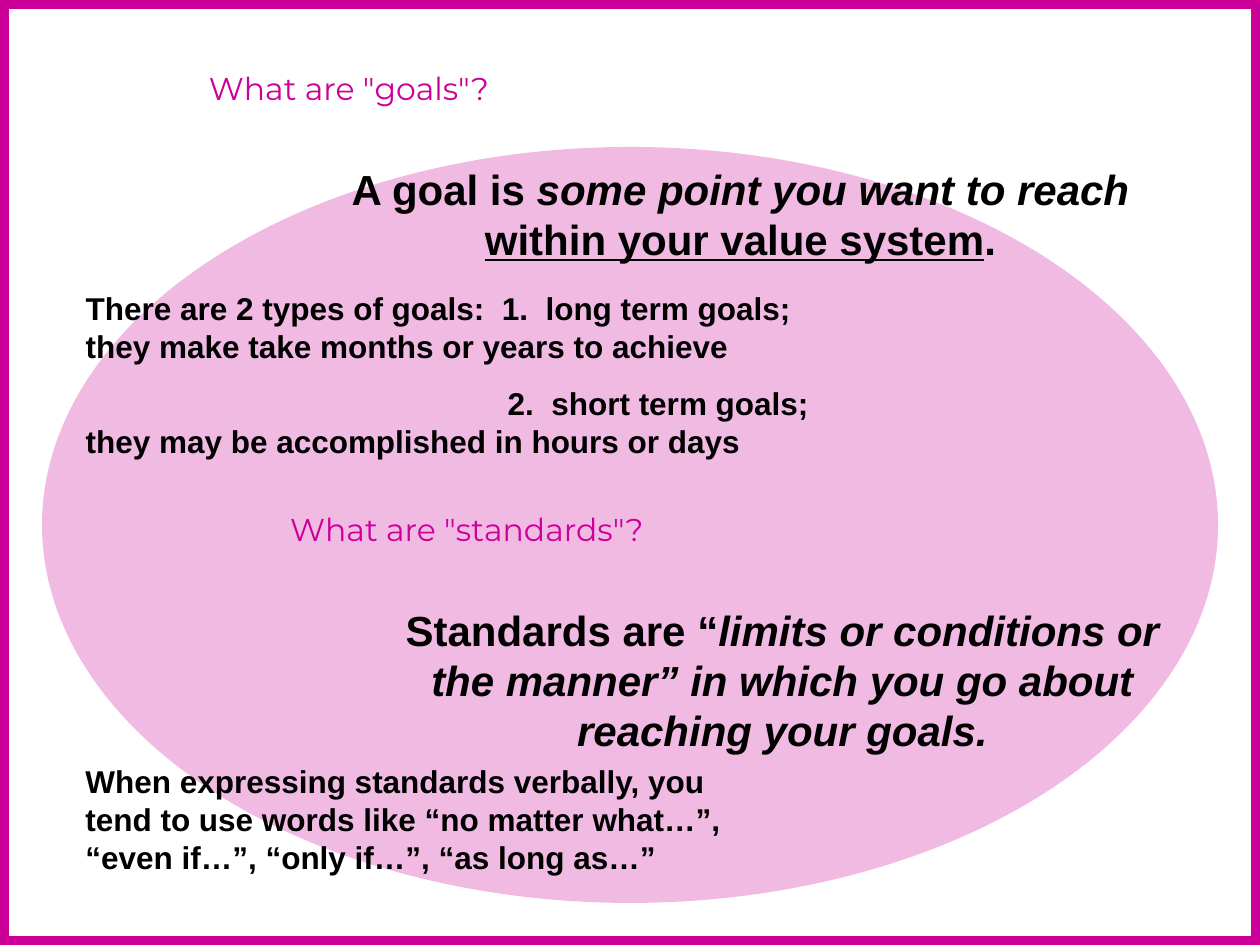
"""Build the slide that defines goals and standards."""
from lxml import etree
from pptx import Presentation, util as u
from pptx.dml.color import RGBColor
from pptx.enum import shapes, text
from pptx.oxml.ns import qn

PX = u.Inches(1) / 126
WIDTH, HEIGHT = 1260, 945
MAGENTA, BLACK = "CC0099", "000000"
LEFT, CENTER = text.PP_ALIGN.LEFT, text.PP_ALIGN.CENTER

HEADING = dict(name="Montserrat", size=u.Pt(18), bold=False, color=MAGENTA, alignment=CENTER)
DEFINITION = dict(name="Arial", size=u.Pt(24), bold=True, color=BLACK, alignment=CENTER)
BODY = dict(name="Arial", size=u.Pt(18), bold=True, color=BLACK, alignment=LEFT)
ITALIC, UNDERLINE = dict(italic=True), dict(underline=True)

ELLIPSE = (42, 147, 1176, 756)
SECOND_TYPE_INDENT = 422
GOALS_HEADING = ((42, 63, 614, 89), HEADING, [[('What are "goals"?', {})]])
GOAL_TYPES = ((73, 283, 766, 184), BODY, [
    [("There are 2 types of goals:  1.  long term goals;  "
      "they make take months or years to achieve", {})],
    [("2.  short term goals;  they may be accomplished in hours or days", {})],
])
TEXT_BOXES = [
    ((315, 157, 851, 113), DEFINITION, [[
        ("A goal is ", {}), ("some point you want to reach ", ITALIC),
        ("within your value system", UNDERLINE), (".", {})]]),
    ((368, 598, 829, 241), DEFINITION, [[
        ("Standards are “", {}),
        ("limits or conditions or the manner” in which you go about reaching your goals.", ITALIC)]]),
    ((84, 504, 766, 79), HEADING, [[('What are "standards"?', {})]]),
    ((73, 756, 662, 126), BODY, [[
        ("When expressing standards verbally, you tend to use words like "
         "“no matter what…”, “even if…”, “only if…”, “as long as…”", {})]]),
]


def px(length):
    return u.Emu(round(length * PX))


def rgb(value):
    return RGBColor.from_string(value)


def place(shape, box):
    for side, length in zip(("left", "top", "width", "height"), box):
        setattr(shape, side, px(length))


def write(shape, box, style, paragraphs):
    place(shape, box)
    frame = shape.text_frame
    frame.word_wrap = True
    frame.auto_size = text.MSO_AUTO_SIZE.NONE
    frame.vertical_anchor = text.MSO_ANCHOR.TOP
    for index, runs in enumerate(paragraphs):
        paragraph = frame.add_paragraph() if index else frame.paragraphs[0]
        paragraph.alignment = style["alignment"]
        paragraph.space_before = u.Pt(11.2 if index else 0)
        for words, emphasis in runs:
            run = paragraph.add_run()
            run.text = words
            for key, value in {**style, **emphasis}.items():
                if key == "color":
                    run.font.color.rgb = rgb(value)
                elif key != "alignment":
                    setattr(run.font, key, value)


def remove_bullets(frame, indents):
    for paragraph, indent in zip(frame.paragraphs, indents):
        properties = paragraph._p.get_or_add_pPr()
        properties.set("marL", "0")
        properties.set("indent", str(px(indent)))
        etree.SubElement(properties, qn("a:buNone"))


def add_plain_shape(slide, kind, box):
    shape = slide.shapes.add_shape(kind, *map(px, box))
    shape.shadow.inherit = False
    return shape


def main():
    presentation = Presentation()
    presentation.slide_width, presentation.slide_height = px(WIDTH), px(HEIGHT)
    slide = presentation.slides.add_slide(presentation.slide_layouts[1])

    ellipse = add_plain_shape(slide, shapes.MSO_SHAPE.OVAL, ELLIPSE)
    ellipse.fill.solid()
    ellipse.fill.fore_color.rgb = rgb(MAGENTA)
    ellipse.line.fill.background()
    color = ellipse.element.spPr.find(".//" + qn("a:srgbClr"))
    etree.SubElement(color, qn("a:alpha")).set("val", "27000")
    ellipse.element.getparent().insert(2, ellipse.element)

    write(slide.shapes.title, *GOALS_HEADING)
    body = slide.placeholders[1]
    write(body, *GOAL_TYPES)
    remove_bullets(body.text_frame, (0, SECOND_TYPE_INDENT))
    for box, style, paragraphs in TEXT_BOXES:
        write(slide.shapes.add_textbox(0, 0, 0, 0), box, style, paragraphs)

    border = add_plain_shape(slide, shapes.MSO_SHAPE.RECTANGLE, (0, 0, WIDTH, HEIGHT))
    border.fill.background()
    border.line.color.rgb = rgb(MAGENTA)
    border.line.width = u.Pt(10)

    presentation.save("out.pptx")


if __name__ == "__main__":
    main()
